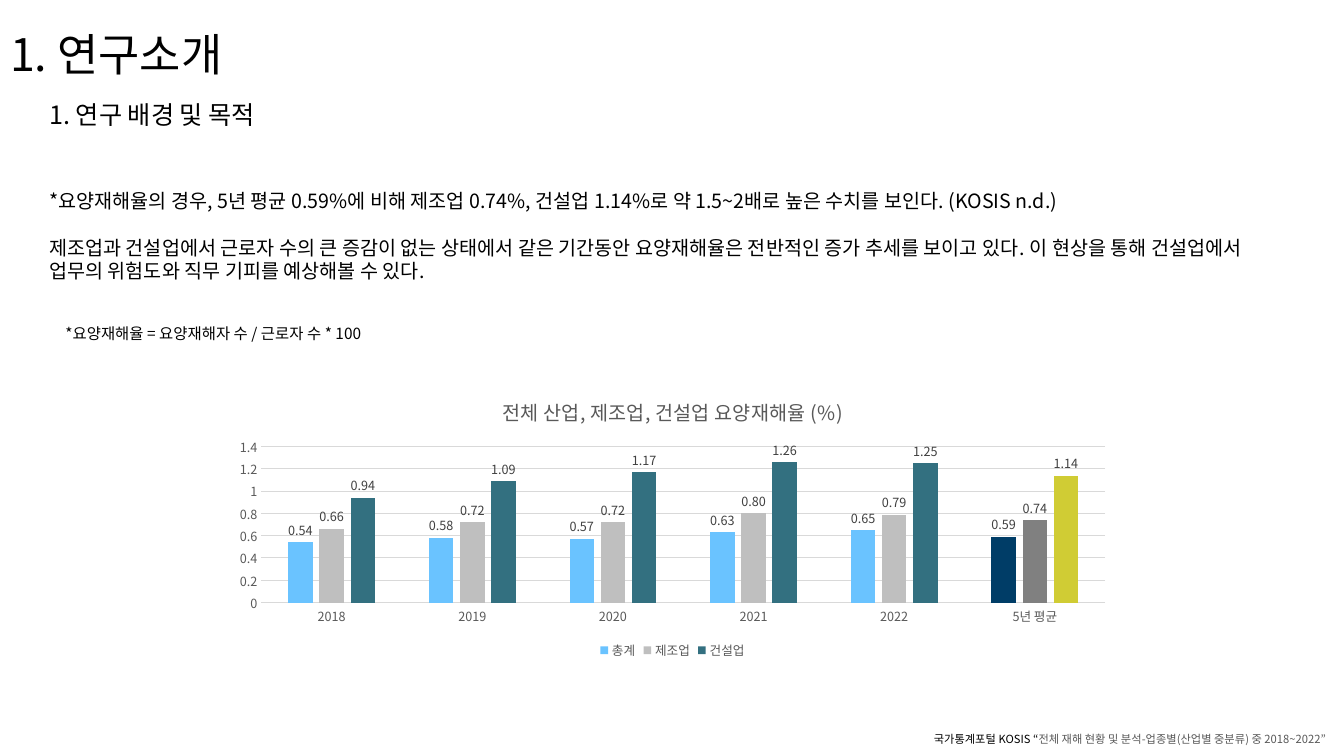
from lxml import etree
from pptx import Presentation
from pptx.chart.data import CategoryChartData
from pptx.dml.color import RGBColor
from pptx.enum.chart import XL_CHART_TYPE as ChartType
from pptx.enum.chart import XL_LABEL_POSITION as LabelPosition
from pptx.enum.chart import XL_LEGEND_POSITION as LegendPosition
from pptx.enum.chart import XL_TICK_MARK as TickMark
from pptx.enum.text import MSO_ANCHOR as Anchor
from pptx.enum.text import MSO_AUTO_SIZE as AutoSize
from pptx.enum.text import PP_ALIGN as Align
from pptx.oxml.ns import qn
from pptx.util import Inches, Pt

FONT = "Noto Sans CJK KR"
BLACK, GRAY, LABEL_GRAY, GRID_GRAY = "000000", "595959", "404040", "D9D9D9"
YEARS = ["2018", "2019", "2020", "2021", "2022", "5년 평균"]
INDUSTRIES = [
    ("총계", [0.54, 0.58, 0.57, 0.63, 0.65, 0.59], "6AC3FF", "003D67"),
    ("제조업", [0.66, 0.72, 0.72, 0.80, 0.79, 0.74], "BFBFBF", "808080"),
    ("건설업", [0.94, 1.09, 1.17, 1.26, 1.25, 1.14], "337080", "D0CC34"),
]


def rgb(color):
    return RGBColor.from_string(color)


def paint(fill, color):
    fill.solid()
    fill.fore_color.rgb = rgb(color)


def set_font(font, size, color=BLACK):
    font.name = FONT
    font.size = Pt(size)
    font.color.rgb = rgb(color)


def use_font_for_korean(element):
    for latin in list(element.iter(qn("a:latin"))):
        east_asian = etree.Element(qn("a:ea"), typeface=FONT)
        latin.addnext(east_asian)


def place(shape, left, top, width, height):
    shape.left, shape.top = Inches(left), Inches(top)
    shape.width, shape.height = Inches(width), Inches(height)


def add_title(slide, text):
    title = slide.shapes.title
    place(title, 0, 0, 13.33, 1.14)
    frame = title.text_frame
    frame.text = text
    frame.auto_size = AutoSize.NONE
    frame.vertical_anchor = Anchor.MIDDLE
    para = frame.paragraphs[0]
    para.alignment = Align.LEFT
    para.line_spacing = 0.9
    set_font(para.font, 32)
    use_font_for_korean(title.element)


def add_text(slide, bounds, size, paragraphs, gap=0, align=Align.LEFT):
    box = slide.shapes.add_textbox(*map(Inches, bounds))
    frame = box.text_frame
    frame.word_wrap = True
    frame.auto_size = AutoSize.SHAPE_TO_FIT_TEXT
    for index, spans in enumerate(paragraphs):
        para = frame.add_paragraph() if index else frame.paragraphs[0]
        para.alignment = align
        para.space_before = Pt(gap if index else 0)
        set_font(para.font, size)
        for text, color in spans:
            span = para.add_run()
            span.text = text
            if color != BLACK:
                span.font.color.rgb = rgb(color)
    use_font_for_korean(box.element)


def format_axis(axis):
    axis.major_tick_mark = axis.minor_tick_mark = TickMark.NONE
    set_font(axis.tick_labels.font, 9, GRAY)


def format_series(series, color, average_color):
    paint(series.format.fill, color)
    paint(series.points[len(YEARS) - 1].format.fill, average_color)
    labels = series.data_labels
    labels.show_value = True
    labels.position = LabelPosition.OUTSIDE_END
    labels.number_format = "#,##0.00"
    labels.number_format_is_linked = False
    set_font(labels.font, 9, LABEL_GRAY)


def add_rate_chart(slide):
    data = CategoryChartData()
    data.categories = YEARS
    for name, rates, _, _ in INDUSTRIES:
        data.add_series(name, rates)
    bounds = map(Inches, (2.2, 3.78, 8.94, 2.8))
    chart = slide.shapes.add_chart(ChartType.COLUMN_CLUSTERED, *bounds, data).chart
    set_font(chart.font, 10)

    chart.has_title = True
    title = chart.chart_title.text_frame
    title.text = "전체 산업, 제조업, 건설업 요양재해율 (%)"
    set_font(title.paragraphs[0].font, 14, GRAY)
    title.paragraphs[0].font.bold = False
    chart.chart_title.include_in_layout = False

    chart.has_legend = True
    chart.legend.position = LegendPosition.BOTTOM
    chart.legend.include_in_layout = False
    set_font(chart.legend.font, 9, GRAY)

    years, rates = chart.category_axis, chart.value_axis
    format_axis(years)
    format_axis(rates)
    rates.format.line.fill.background()
    rates.tick_labels.number_format = "General"
    rates.tick_labels.number_format_is_linked = False
    for line in (years.format.line, rates.major_gridlines.format.line):
        line.width = Pt(0.75)
        line.color.rgb = rgb(GRID_GRAY)

    plot = chart.plots[0]
    plot.gap_width = 219
    plot.overlap = -27
    plot.vary_by_categories = False
    for series, (_, _, color, average_color) in zip(plot.series, INDUSTRIES):
        format_series(series, color, average_color)
    use_font_for_korean(chart.element)


def main():
    deck = Presentation()
    deck.slide_width, deck.slide_height = Inches(13.33), Inches(7.5)
    slide = deck.slides.add_slide(deck.slide_layouts[5])
    add_title(slide, "1. 연구소개")
    add_text(slide, (0.39, 0.94, 6.75, 0.4), 18, [[("1. 연구 배경 및 목적", BLACK)]])
    add_text(slide, (0.39, 1.82, 12.15, 1.28), 14, [
        [("*요양재해율의 경우, 5년 평균 0.59%에 비해 제조업 0.74%, 건설업 1.14%로 "
          "약 1.5~2배로 높은 수치를 보인다. (KOSIS n.d.)", BLACK)],
        [("제조업과 건설업에서 근로자 수의 큰 증감이 없는 상태에서 같은 기간동안 "
          "요양재해율은 전반적인 증가 추세를 보이고 있다. 이 현상을 통해 "
          "건설업에서 업무의 위험도와 직무 기피를 예상해볼 수 있다.", BLACK)],
    ], gap=17)
    add_rate_chart(slide)
    add_text(slide, (8.49, 7.22, 4.76, 0.24), 8, [
        [("국가통계포털 KOSIS “", BLACK),
         ("전체 재해 현황 및 분석-업종별(산업별 중분류) 중 2018~2022”", "585858")],
    ], align=Align.RIGHT)
    add_text(slide, (0.55, 3.17, 3.55, 0.29), 11,
             [[("*요양재해율 = 요양재해자 수 / 근로자 수 * 100", BLACK)]])
    deck.save("out.pptx")


if __name__ == "__main__":
    main()
